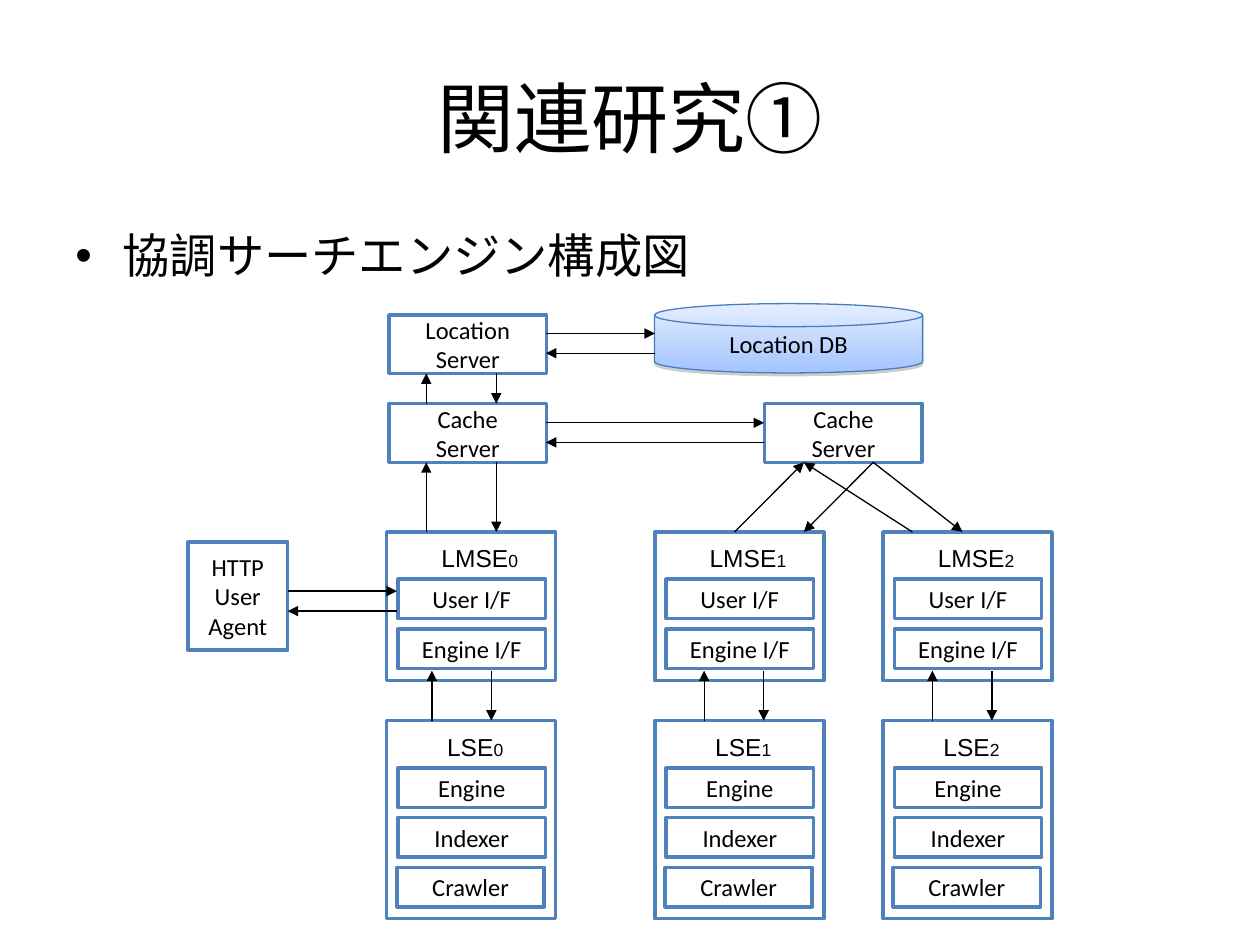
from lxml import etree
from pptx import Presentation
from pptx.dml.color import RGBColor
from pptx.enum.shapes import MSO_CONNECTOR as Link, MSO_SHAPE as Form
from pptx.enum.text import MSO_ANCHOR as Anchor, MSO_AUTO_SIZE as Fit, PP_ALIGN as Align
from pptx.oxml import parse_xml
from pptx.oxml.ns import nsdecls, qn
from pptx.util import Pt

color = RGBColor.from_string


def write(frame, text, size, align=Align.CENTER, anchor=Anchor.MIDDLE):
    frame.text = text
    frame.word_wrap = True
    frame.vertical_anchor = anchor
    for para in frame.paragraphs:
        para.alignment = align
        for run in para.runs:
            run.font.size = Pt(size)
            run.font.name = "Calibri"
            run.font.color.rgb = color("000000")


def box(x, y, w, h, text="", form=Form.RECTANGLE):
    shape = shapes.add_shape(form, Pt(x), Pt(y), Pt(w), Pt(h))
    shape.shadow.inherit = False
    shape.fill.solid()
    shape.fill.fore_color.rgb = color("FFFFFF")
    shape.line.color.rgb = color("4F81BD")
    shape.line.width = Pt(2)
    if text:
        write(shape.text_frame, text, 14)
    return shape


deck = Presentation()
deck.slide_width, deck.slide_height = Pt(720), Pt(540)
slide = deck.slides.add_slide(deck.slide_layouts[6])
shapes = slide.shapes

title = shapes.add_textbox(Pt(36), Pt(21.6), Pt(648), Pt(90))
write(title.text_frame, "関連研究①", 44)

lead = shapes.add_textbox(Pt(36), Pt(126), Pt(648), Pt(47.5))
write(lead.text_frame, "協調サーチエンジン構成図", 27, Align.LEFT, Anchor.TOP)
para = lead.text_frame.paragraphs[0]
para.space_before = Pt(6.8)
props = para._p.get_or_add_pPr()
props.set("marL", str(Pt(27)))
props.set("indent", str(-Pt(27)))
etree.SubElement(props, qn("a:buFont")).set("typeface", "Arial")
etree.SubElement(props, qn("a:buChar")).set("char", "•")

box(107.4, 309.6, 57, 62, "HTTP\nUser\nAgent")
box(222.3, 180, 90, 33.4, "Location\nServer")
for x in (222.3, 437):
    box(x, 230.6, 90, 33.6, "Cache\nServer")

store = box(374, 173.5, 153.2, 39.6, "Location DB", Form.FLOWCHART_MAGNETIC_DISK)
store.line.color.rgb = color("4A7EBB")
store.line.width = Pt(0.75)
store.fill.gradient()
store.fill.gradient_angle = 270
for stop, tone, spot in zip(store.fill.gradient_stops, ("E5EEFF", "A3C4FF"), (0, 1)):
    stop.color.rgb = color(tone)
    stop.position = spot
glow = store._element.spPr.find(qn("a:effectLst"))
glow.append(parse_xml(
    f'<a:outerShdw {nsdecls("a")} blurRad="0" dist="20320" dir="5400000" rotWithShape="0">'
    '<a:srgbClr val="808080"><a:alpha val="38000"/></a:srgbClr></a:outerShdw>'))

stacks = [
    ("LMSE", 304, 85, 24.2, 58.3, [("User I/F", 6.5), ("Engine I/F", 6.5)]),
    ("LSE", 411.8, 113.2, 27.4, 46.8,
     [("Engine", 6.5), ("Indexer", 6.5), ("Crawler", 5.8)]),
]
for name, top, high, shift, wide, parts in stacks:
    for num, left in enumerate((221, 374.2, 504.6)):
        box(left, top, 96.6, high)
        for row, (part, inset) in enumerate(parts):
            box(left + inset, top + 27 + 28.4 * row, 84.2, 22.6, part)
        label = shapes.add_textbox(Pt(left + shift), Pt(top + 2.9), Pt(wide), Pt(24.5))
        label.text_frame.word_wrap = False
        label.text_frame.auto_size = Fit.SHAPE_TO_FIT_TEXT
        para = label.text_frame.paragraphs[0]
        for text, size in ((name, 14), (str(num), 10)):
            run = para.add_run()
            run.text = text
            run.font.size = Pt(size)
            run.font.name = "Arial"
            run.font.color.rgb = color("000000")

arrows = [
    (164.4, 337.8, 226.8, 337.8), (226.8, 349.2, 164.4, 349.2),
    (243.6, 304, 243.6, 264.2), (283.6, 264.2, 283.6, 304),
    (243.6, 230.6, 243.6, 213.4), (283.6, 213.4, 283.6, 230.6),
    (312, 190.6, 374.2, 190.6), (374.2, 201.8, 312, 201.8),
    (312, 241.6, 436.6, 241.6), (436.6, 252.8, 312, 252.8),
    (419.8, 304, 459.4, 264.2), (521.4, 304, 459.4, 264.2),
    (499, 264.2, 459.4, 304), (499, 264.2, 550, 304),
]
for x in (246.8, 402.4, 532.8):
    arrows += [(x, 411.8, x, 383.2), (x + 34, 383.2, x + 34, 411.8)]
for ends in arrows:
    arrow = shapes.add_connector(Link.STRAIGHT, *map(Pt, ends))
    arrow.line.color.rgb = color("000000")
    arrow.line.width = Pt(0.75)
    etree.SubElement(arrow.line._get_or_add_ln(), qn("a:tailEnd")).set("type", "triangle")
    etree.SubElement(arrow._element.spPr, qn("a:effectLst"))

deck.save("out.pptx")
